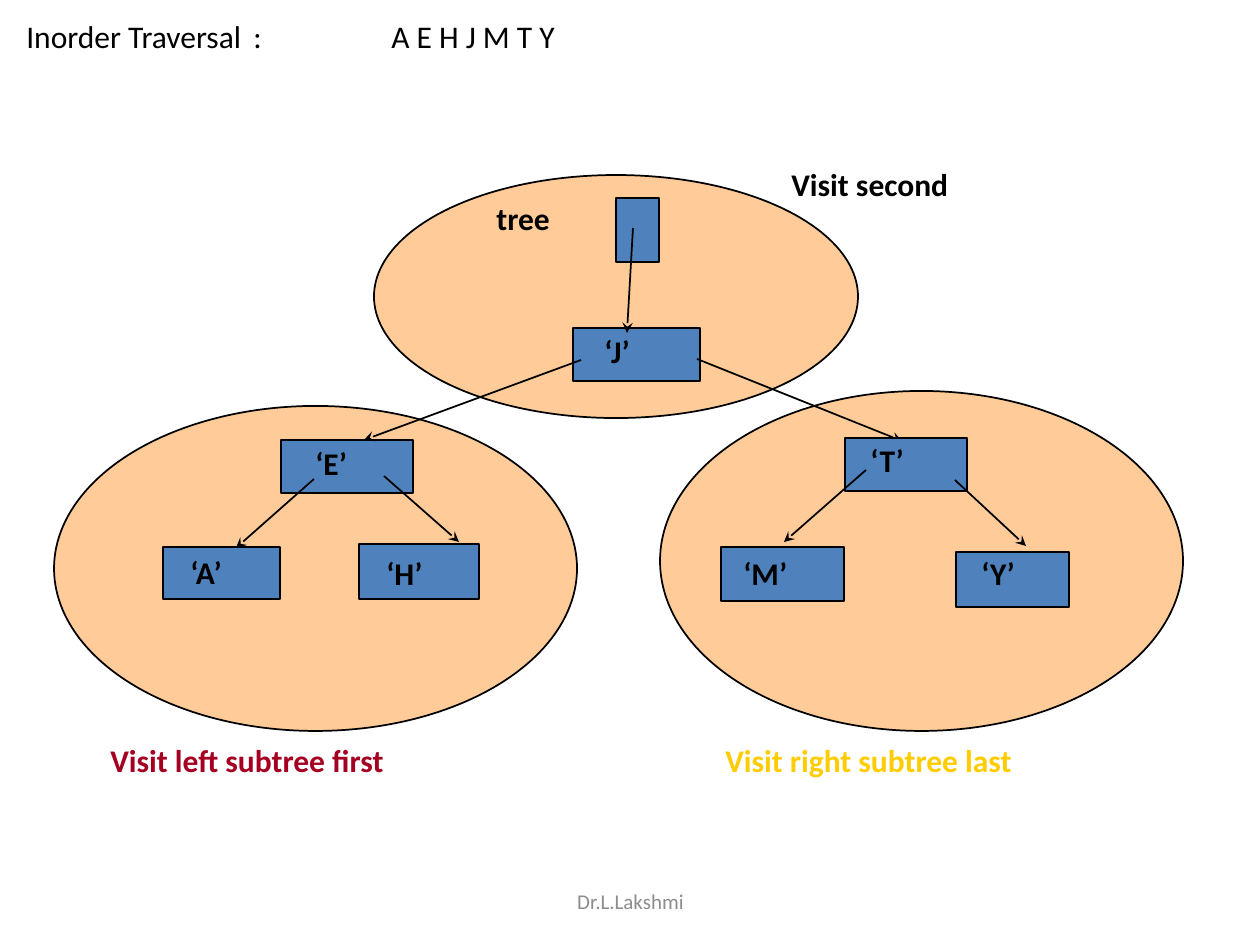
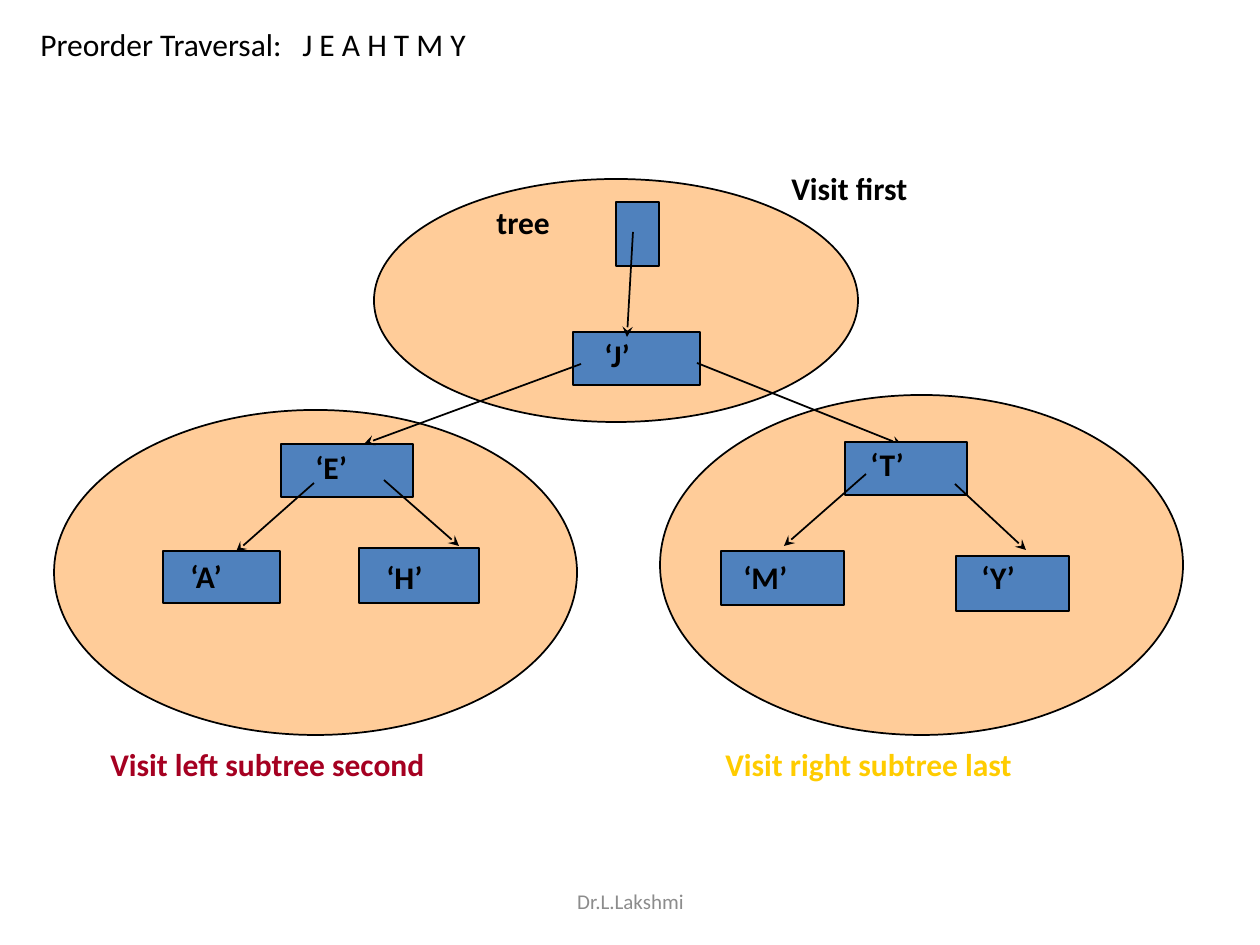
"""Build two slides that show inorder and preorder traversal of one binary tree."""
from lxml.etree import SubElement
from pptx import Presentation
from pptx.dml.color import RGBColor
from pptx.enum.shapes import MSO_CONNECTOR, MSO_SHAPE
from pptx.enum.text import MSO_ANCHOR, PP_ALIGN
from pptx.oxml.ns import qn
from pptx.util import Emu, Pt

COLORS = {"ink": "000000", "subtree": "FFCC99", "node": "4F81BD",
          "left": "A50021", "right": "FFCC00", "footer": "8C8C8C"}
BODY = {"name": "Calibri", "size": Pt(18), "bold": False}
LABEL = {**BODY, "bold": True}
FOOTER = {**BODY, "size": Pt(12)}

SLIDES = [
    {"title": "Inorder Traversal\t:\tA E H J M T Y", "title_at": (14, 11),
     "tabs": (227, 365), "shift": 0,
     "root": "Visit second", "left": "Visit left subtree first"},
    {"title": "Preorder Traversal:\tJ E A H T M Y", "title_at": (28, 19),
     "tabs": (262,), "shift": 4,
     "root": "Visit first", "left": "Visit left subtree second"},
]

SUBTREES = [(660, 391, 523, 340), (374, 175, 484, 243), (54, 406, 523, 325)]
LEFT_NODES = [(281, 440, 132, 53), (163, 547, 117, 52),
              (359, 544, 120, 55), (573, 328, 127, 53)]
RIGHT_NODES = [(845, 438, 122, 53), (721, 547, 123, 54),
               (956, 552, 113, 55), (616, 198, 43, 64)]
UPPER_ARROWS = [(697, 359, 902, 441), (581, 360, 364, 440)]
LOWER_ARROWS = [(384, 476, 459, 542), (314, 479, 236, 548), (955, 480, 1026, 546),
                (866, 470, 784, 542), (633, 228, 627, 333)]
NODE_LABELS = {"‘J’": (592, 326), "‘E’": (303, 438), "‘A’": (178, 547),
               "‘H’": (374, 548), "‘T’": (858, 435), "‘M’": (731, 548),
               "‘Y’": (969, 548), "tree": (484, 193)}


def px(length):
    return Emu(round(length * 914400 / 126))


def rgb(color):
    return RGBColor.from_string(COLORS[color])


def add_outlined(slide, kind, box, color, shift):
    left, top, width, height = box
    shape = slide.shapes.add_shape(kind, px(left), px(top + shift), px(width), px(height))
    shape.shadow.inherit = False
    shape.fill.solid()
    shape.fill.fore_color.rgb = rgb(color)
    shape.line.color.rgb = rgb("ink")
    shape.line.width = Pt(1)


def add_arrow(slide, ends, shift):
    x1, y1, x2, y2 = ends
    arrow = slide.shapes.add_connector(
        MSO_CONNECTOR.STRAIGHT, px(x1), px(y1 + shift), px(x2), px(y2 + shift))
    arrow.line.color.rgb = rgb("ink")
    arrow.line.width = Pt(1)
    properties = arrow.line._get_or_add_ln()
    SubElement(properties, qn("a:tailEnd"), type="stealth")
    SubElement(arrow._element.spPr, qn("a:effectLst"))


def add_text(slide, text, box, style=LABEL, color="ink", tabs=()):
    text_box = slide.shapes.add_textbox(*map(px, box))
    frame = text_box.text_frame
    frame.word_wrap = True
    paragraph = frame.paragraphs[0]
    paragraph.add_run().text = text
    if tabs:
        tab_list = SubElement(paragraph._p.get_or_add_pPr(), qn("a:tabLst"))
        for position in tabs:
            SubElement(tab_list, qn("a:tab"), pos=str(px(position)), algn="l")
    font = paragraph.runs[0].font
    for name, value in style.items():
        setattr(font, name, value)
    font.color.rgb = rgb(color)
    return frame


def add_tree(slide, shift):
    for box in SUBTREES:
        add_outlined(slide, MSO_SHAPE.OVAL, box, "subtree", shift)
    for nodes, arrows in ((LEFT_NODES, UPPER_ARROWS), (RIGHT_NODES, LOWER_ARROWS)):
        for box in nodes:
            add_outlined(slide, MSO_SHAPE.RECTANGLE, box, "node", shift)
        for ends in arrows:
            add_arrow(slide, ends, shift)
    for label, (left, top) in NODE_LABELS.items():
        add_text(slide, label, (left, top + shift, 95, 63))


def add_footer(slide):
    frame = add_text(slide, "Dr.L.Lakshmi", (431, 876, 399, 50), FOOTER, "footer")
    frame.vertical_anchor = MSO_ANCHOR.MIDDLE
    frame.paragraphs[0].alignment = PP_ALIGN.CENTER


def main():
    presentation = Presentation()
    presentation.slide_width, presentation.slide_height = px(1260), px(945)
    for content in SLIDES:
        slide = presentation.slides.add_slide(presentation.slide_layouts[6])
        shift = content["shift"]
        add_text(slide, content["title"], (*content["title_at"], 1200, 50),
                 BODY, tabs=content["tabs"])
        add_tree(slide, shift)
        add_text(slide, content["left"], (98, 735 + shift, 480, 63), color="left")
        add_text(slide, "Visit right subtree last", (713, 735 + shift, 466, 63), color="right")
        add_text(slide, content["root"], (779, 159 + shift, 213, 50))
        add_footer(slide)
    presentation.save("out.pptx")


if __name__ == "__main__":
    main()
